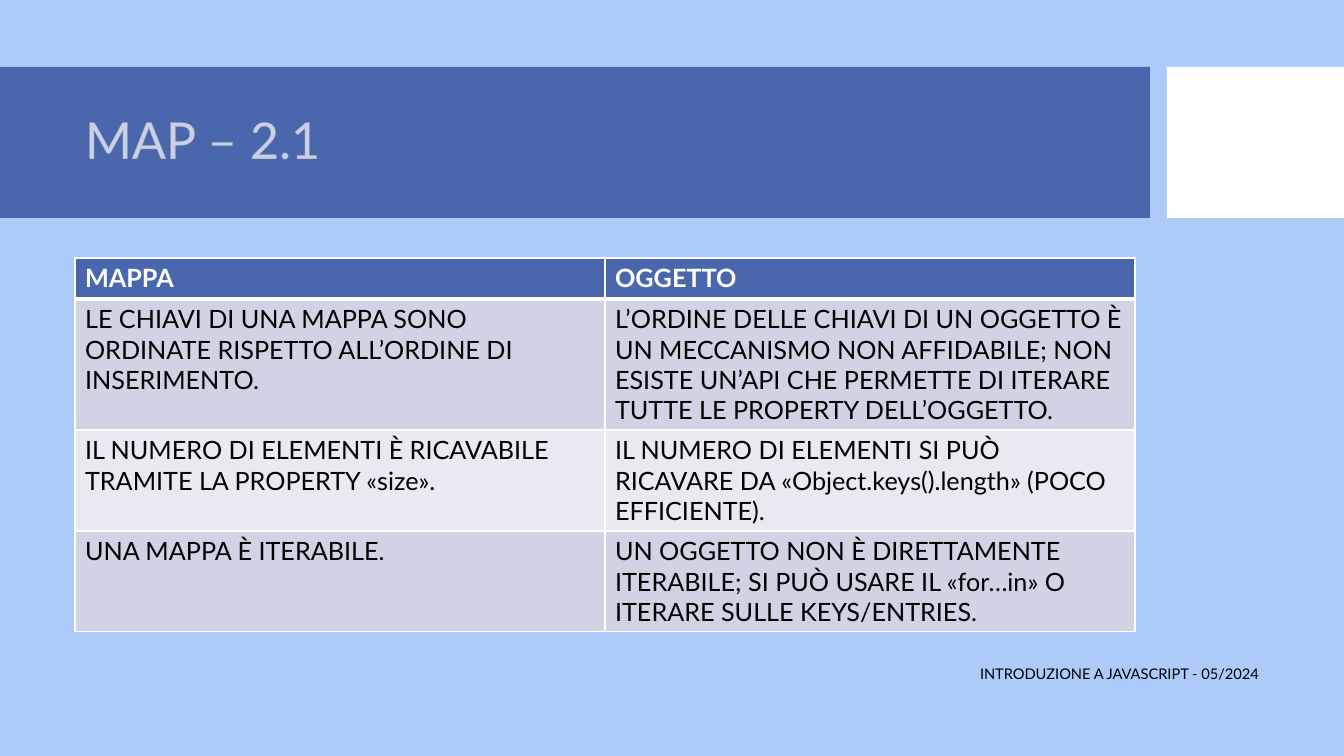
from dataclasses import dataclass

from lxml.etree import SubElement
from pptx import Presentation
from pptx.dml.color import RGBColor
from pptx.enum.shapes import MSO_SHAPE as Preset
from pptx.enum.text import MSO_ANCHOR as Anchor, MSO_AUTO_SIZE as AutoSize, PP_ALIGN as Align
from pptx.oxml.ns import qn
from pptx.slide import Slide
from pptx.table import _Cell as Cell
from pptx.util import Emu, Pt

EMU_PER_PX = 914400 / 100.8


def px(length: int) -> Emu:
    return Emu(round(length * EMU_PER_PX))


@dataclass(frozen=True)
class Theme:
    font: str = "Lato"
    sky: str = "ACCBF9"
    blue: str = "4A66AC"
    white: str = "FFFFFF"
    black: str = "000000"
    outline: str = "BFBFBF"
    bands: tuple[str, str] = ("D0D3E3", "E9EAF1")
    title_size: float = 36
    table_size: float = 18
    footer_size: float = 10.5
    thin: int = 1
    thick: int = 3


@dataclass(frozen=True)
class Area:
    left: int
    top: int
    width: int
    height: int

    def emu(self) -> tuple[Emu, Emu, Emu, Emu]:
        return px(self.left), px(self.top), px(self.width), px(self.height)


@dataclass(frozen=True)
class Panel:
    area: Area
    color: str


THEME = Theme()
PANELS = (
    Panel(Area(0, 67, 1150, 151), THEME.blue),
    Panel(Area(1167, 67, 177, 151), THEME.white),
)
TITLE_AREA = Area(75, 83, 1059, 119)
TABLE_AREA = Area(75, 258, 1060, 344)
FOOTER_AREA = Area(75, 654, 1194, 40)
ROW_HEIGHT = 41
COMPARISON = (
    ("MAPPA", "OGGETTO"),
    ("LE CHIAVI DI UNA MAPPA SONO ORDINATE RISPETTO ALL’ORDINE DI INSERIMENTO.",
     "L’ORDINE DELLE CHIAVI DI UN OGGETTO È UN MECCANISMO NON AFFIDABILE; NON ESISTE "
     "UN’API CHE PERMETTE DI ITERARE TUTTE LE PROPERTY DELL’OGGETTO."),
    ("IL NUMERO DI ELEMENTI È RICAVABILE TRAMITE LA PROPERTY «size».",
     "IL NUMERO DI ELEMENTI SI PUÒ RICAVARE DA «Object.keys().length» (POCO EFFICIENTE)."),
    ("UNA MAPPA È ITERABILE.",
     "UN OGGETTO NON È DIRETTAMENTE ITERABILE; SI PUÒ USARE IL «for…in» O ITERARE "
     "SULLE KEYS/ENTRIES."),
)


def add_run(para, text: str, size: float, color: str, bold: bool = False):
    run = para.add_run()
    run.text = text
    run.font.name = THEME.font
    run.font.size = Pt(size)
    run.font.bold = bold
    run.font.color.rgb = RGBColor.from_string(color)
    return run


def add_line(parent, tag: str, width: float, color: str):
    """Add a solid line element and return its colour element."""
    line = SubElement(parent, qn(tag), w=str(Pt(width)))
    fill = SubElement(line, qn("a:solidFill"))
    return SubElement(fill, qn("a:srgbClr"), val=color)


def add_panel(page: Slide, panel: Panel) -> None:
    shape = page.shapes.add_shape(Preset.RECTANGLE, *panel.area.emu())
    shape.shadow.inherit = False
    shape.fill.solid()
    shape.fill.fore_color.rgb = RGBColor.from_string(panel.color)
    shape.line.fill.background()


def format_title(page: Slide, text: str) -> None:
    title = page.shapes.title
    title.left, title.top, title.width, title.height = TITLE_AREA.emu()
    frame = title.text_frame
    frame.word_wrap = True
    frame.auto_size = AutoSize.NONE
    frame.vertical_anchor = Anchor.MIDDLE
    para = frame.paragraphs[0]
    para.alignment = Align.LEFT
    para.line_spacing = 0.9
    run = add_run(para, text, THEME.title_size, THEME.white)
    # Translucent glyph outline, which comes first in the run properties
    properties = run.font._element
    color = add_line(properties, "a:ln", 0.25, THEME.outline)
    SubElement(color, qn("a:alpha"), val="70000")
    properties.insert(0, properties.find(qn("a:ln")))
    # Bring the title in front of the panels
    page.shapes._spTree.append(title._element)


def format_cell(cell: Cell, text: str, row: int) -> None:
    header = row == 0
    color = THEME.white if header else THEME.black
    add_run(cell.text_frame.paragraphs[0], text, THEME.table_size, color, header)
    # Borders precede the fill in the cell properties
    properties = cell._tc.get_or_add_tcPr()
    widths = {
        "a:lnL": THEME.thin,
        "a:lnR": THEME.thin,
        "a:lnT": THEME.thick if row == 1 else THEME.thin,
        "a:lnB": THEME.thick if header else THEME.thin,
    }
    for tag, width in widths.items():
        add_line(properties, tag, width, THEME.white)
    cell.fill.solid()
    fill = THEME.blue if header else THEME.bands[(row - 1) % 2]
    cell.fill.fore_color.rgb = RGBColor.from_string(fill)


def add_comparison(page: Slide) -> None:
    holder = page.shapes.add_table(len(COMPARISON), len(COMPARISON[0]), *TABLE_AREA.emu())
    table = holder.table
    for row, texts in enumerate(COMPARISON):
        table.rows[row].height = px(ROW_HEIGHT)
        for column, text in enumerate(texts):
            format_cell(table.cell(row, column), text, row)
    holder.height = px(TABLE_AREA.height)


def add_footer(page: Slide, text: str) -> None:
    box = page.shapes.add_textbox(*FOOTER_AREA.emu())
    frame = box.text_frame
    frame.word_wrap = True
    frame.vertical_anchor = Anchor.MIDDLE
    para = frame.paragraphs[0]
    para.alignment = Align.RIGHT
    add_run(para, text, THEME.footer_size, THEME.black)


def main() -> None:
    deck = Presentation()
    deck.slide_width, deck.slide_height = px(1344), px(756)
    page = deck.slides.add_slide(deck.slide_layouts.get_by_name("Title Only"))
    page.background.fill.solid()
    page.background.fill.fore_color.rgb = RGBColor.from_string(THEME.sky)

    # Title band
    for panel in PANELS:
        add_panel(page, panel)
    format_title(page, "MAP – 2.1")

    # Body and footer
    add_comparison(page)
    add_footer(page, "INTRODUZIONE A JAVASCRIPT - 05/2024")
    deck.save("out.pptx")


if __name__ == "__main__":
    main()
